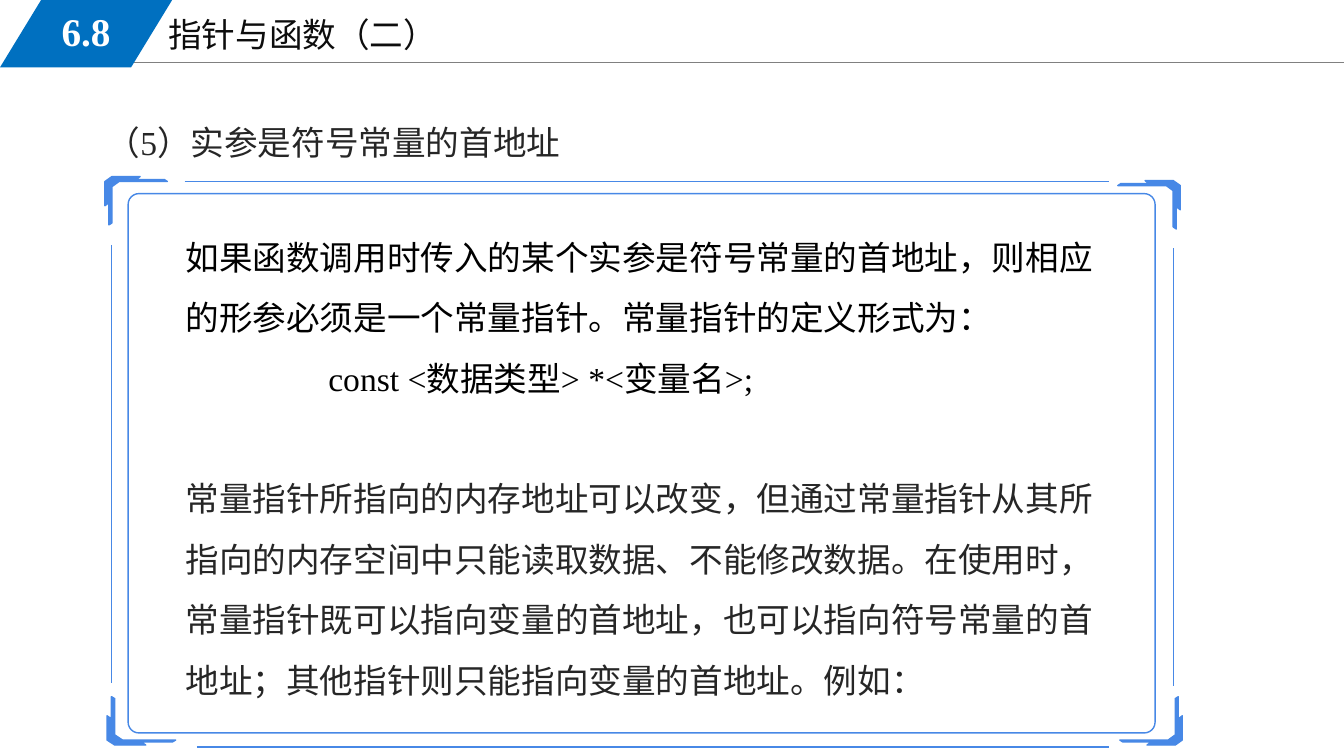
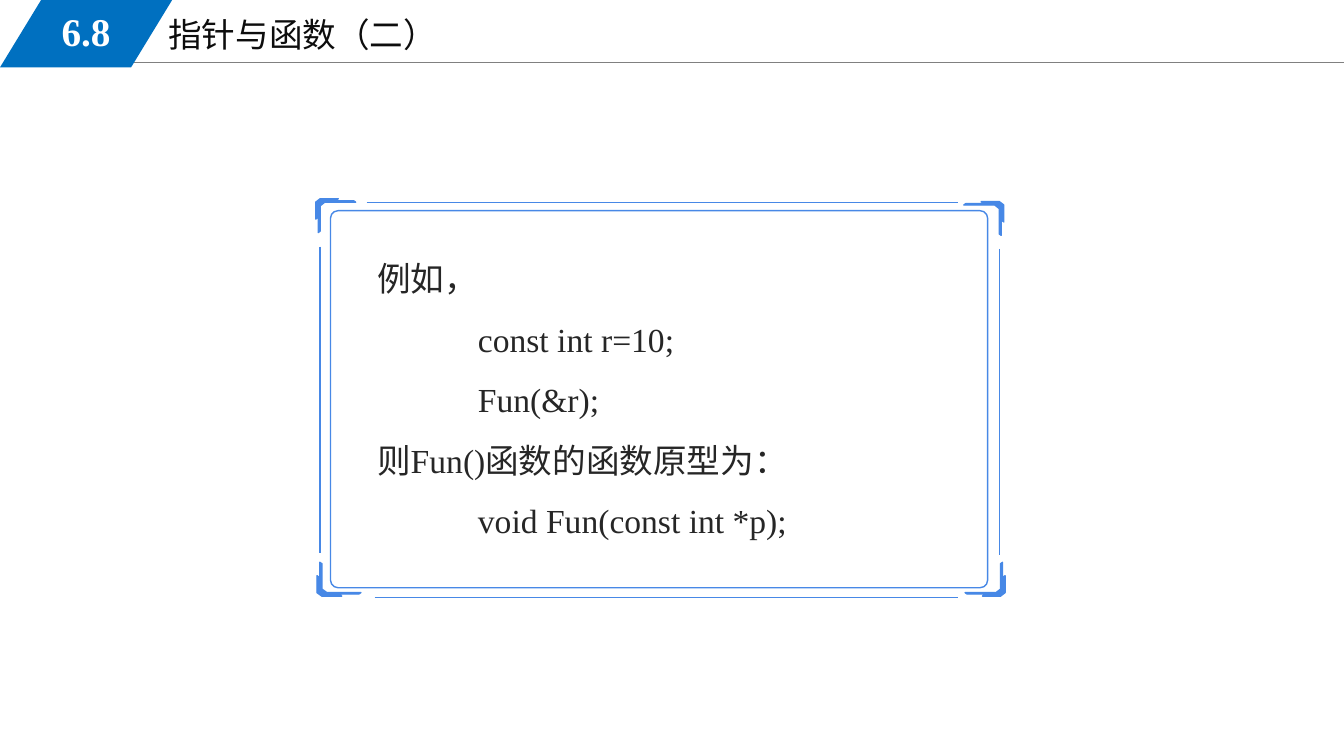
from dataclasses import dataclass

from lxml.etree import SubElement
from pptx import Presentation
from pptx.dml.color import RGBColor
from pptx.enum.lang import MSO_LANGUAGE_ID
from pptx.enum.shapes import MSO_CONNECTOR, MSO_SHAPE
from pptx.enum.text import MSO_ANCHOR, MSO_AUTO_SIZE, PP_ALIGN
from pptx.oxml.ns import qn
from pptx.util import Cm, Pt


@dataclass(frozen=True)
class Theme:
    font: str = "Times New Roman"
    badge_blue: RGBColor = RGBColor(0x00, 0x70, 0xC0)
    frame_blue: RGBColor = RGBColor(0x47, 0x88, 0xE6)
    rule_grey: RGBColor = RGBColor(0x80, 0x80, 0x80)
    title_ink: RGBColor = RGBColor(0x0D, 0x0D, 0x0D)
    ink: RGBColor = RGBColor(0x26, 0x26, 0x26)
    black: RGBColor = RGBColor(0x00, 0x00, 0x00)
    white: RGBColor = RGBColor(0xFF, 0xFF, 0xFF)
    text_size: Pt = Pt(24)
    badge_size: Pt = Pt(28)
    rule_width: Pt = Pt(0.75)
    frame_width: Pt = Pt(1)


THEME = Theme()

# Frame geometry, in percent of the rounded panel's width and height
CORNER_OUTLINE = [
    (0.69, 0), (3.43, 0), (3.04, 0.56), (5.79, 0.56), (6.08, 0.93), (1.37, 0.93),
    (0.69, 1.87), (0.69, 8.6), (0.39, 8.97), (0.39, 4.86), (0, 5.42), (0, 0.93),
]
# Outer point, horizontal direction (with stretch), vertical direction
CORNERS = [
    (-2.26, -3.18, 1, 1),
    (102.45, -2.43, -1, 1),
    (102.65, 102.24, -1, -1),
    (-2.06, 102.24, 1.1, -1),
]
EDGES = [
    ((5.5, -2.2), (95.5, -2.2)),
    ((6.7, 102.6), (95.5, 102.6)),
    ((-1.6, 9.5), (-1.6, 90.7)),
    ((101.8, 10.1), (101.8, 91.2)),
]


def set_values(target, values):
    for name, value in values.items():
        setattr(target, name, value)


def place(item, left, top, width, height):
    set_values(item, {"left": Cm(left), "top": Cm(top),
                      "width": Cm(width), "height": Cm(height)})


def set_frame(text_frame, **changes):
    set_values(text_frame, {"word_wrap": True, "auto_size": MSO_AUTO_SIZE.NONE,
                            "vertical_anchor": MSO_ANCHOR.TOP} | changes)


def write(paragraph, text, color, **changes):
    run = paragraph.add_run()
    run.text = text
    set_values(run.font, {"name": THEME.font, "size": THEME.text_size,
                          "language_id": MSO_LANGUAGE_ID.SIMPLIFIED_CHINESE} | changes)
    run.font.color.rgb = color


def add_rule(shapes, start, end, color, width):
    rule = shapes.add_connector(MSO_CONNECTOR.STRAIGHT, *start, *end)
    rule.line.color.rgb = color
    rule.line.width = width
    SubElement(rule.element.spPr, qn("a:effectLst"))
    return rule


def outline_blue(shape):
    shape.shadow.inherit = False
    shape.line.color.rgb = THEME.frame_blue
    shape.line.width = THEME.frame_width


def add_panel_frame(slide, left, top, width, height):
    def point(x, y):
        return Cm(left + width * x / 100), Cm(top + height * y / 100)

    shapes = slide.shapes.add_group_shape().shapes

    # Rounded panel
    panel = shapes.add_shape(MSO_SHAPE.ROUNDED_RECTANGLE,
                             Cm(left), Cm(top), Cm(width), Cm(height))
    panel.adjustments[0] = 0.02
    panel.fill.background()
    outline_blue(panel)

    # Corner brackets
    for x, y, across, down in CORNERS:
        points = [point(x + across * dx, y + down * dy) for dx, dy in CORNER_OUTLINE]
        builder = shapes.build_freeform(*points[0])
        builder.add_line_segments(points[1:], close=True)
        bracket = builder.convert_to_shape()
        bracket.fill.solid()
        bracket.fill.fore_color.rgb = THEME.frame_blue
        outline_blue(bracket)

    # Edge lines
    for start, end in EDGES:
        add_rule(shapes, point(*start), point(*end), THEME.frame_blue, THEME.frame_width)


def prepare_layout(layout):
    for placeholder in list(layout.placeholders):
        if placeholder.placeholder_format.idx >= 10:
            placeholder.element.getparent().remove(placeholder.element)
    place(layout.placeholders[0], 3.96, 0.23, 14.4, 1.3)


def add_header_band(slide):
    """Build the shared band and hand it to the slide's layout."""
    rule = add_rule(slide.shapes, (Cm(2.87), Cm(1.57)), (Cm(33.87), Cm(1.57)),
                    THEME.rule_grey, THEME.rule_width)
    badge = slide.shapes.add_shape(MSO_SHAPE.PARALLELOGRAM, 0, 0, Cm(4.34), Cm(1.7))
    badge.adjustments[0] = 0.61
    badge.shadow.inherit = False
    badge.fill.solid()
    badge.fill.fore_color.rgb = THEME.badge_blue
    badge.line.fill.background()
    set_frame(badge.text_frame, word_wrap=False, vertical_anchor=MSO_ANCHOR.MIDDLE,
              margin_left=0, margin_right=0, margin_top=0, margin_bottom=Cm(0.13))
    number = badge.text_frame.paragraphs[0]
    number.alignment = PP_ALIGN.CENTER
    write(number, "6.8", THEME.white, size=THEME.badge_size, bold=True)
    for part in (rule, badge):
        slide.slide_layout.shapes.element.append(part.element)


def add_titled_slide(deck, layout, title):
    slide = deck.slides.add_slide(layout)
    heading = slide.shapes.title.text_frame
    set_frame(heading, margin_left=Cm(0.28), margin_right=Cm(0.28))
    heading.paragraphs[0].alignment = PP_ALIGN.LEFT
    write(heading.paragraphs[0], title, THEME.title_ink)
    return slide


def fill_body(slide, box, lines):
    """Each line is text, colour, indent in cm and space before in points."""
    body = slide.placeholders[1]
    place(body, *box)
    set_frame(body.text_frame)
    for index, (text, color, indent, gap) in enumerate(lines):
        paragraph = (body.text_frame.add_paragraph() if index
                     else body.text_frame.paragraphs[0])
        properties = paragraph._p.get_or_add_pPr()
        properties.set("marL", str(Cm(indent)))
        properties.set("indent", "0")
        SubElement(properties, qn("a:buNone"))
        set_values(paragraph, {"line_spacing": 1.5, "space_before": Pt(gap),
                               "alignment": PP_ALIGN.LEFT})
        write(paragraph, text, color)


def add_subheading(slide, text):
    subheading = slide.shapes.add_textbox(Cm(2.44), Cm(2.44), Cm(15.14), Cm(1.63))
    set_frame(subheading.text_frame)
    paragraph = subheading.text_frame.paragraphs[0]
    paragraph.line_spacing = 1.5
    write(paragraph, text, THEME.ink)


def main():
    deck = Presentation()
    deck.slide_width, deck.slide_height = Cm(33.87), Cm(19.05)
    layout = deck.slide_layouts[1]
    prepare_layout(layout)
    title = "指针与函数（二）"

    # Constant pointers: definition
    definition = add_titled_slide(deck, layout, title)
    add_header_band(definition)
    add_subheading(definition, "（5）实参是符号常量的首地址")
    fill_body(definition, (4.42, 5.33, 24.03, 13.4), [
        ("如果函数调用时传入的某个实参是符号常量的首地址，则相应的形参必须是一个常量指针。"
         "常量指针的定义形式为：", THEME.black, 0, 0),
        ("const <数据类型> *<变量名>;", THEME.black, 3.6, 0),
        ("常量指针所指向的内存地址可以改变，但通过常量指针从其所指向的内存空间中只能读取数据、"
         "不能修改数据。在使用时，常量指针既可以指向变量的首地址，也可以指向符号常量的首地址；"
         "其他指针则只能指向变量的首地址。例如：", THEME.ink, 0, 43),
    ])
    add_panel_frame(definition, 3.23, 4.88, 25.88, 13.59)

    # Constant pointers: example
    example = add_titled_slide(deck, layout, title)
    fill_body(example, (9.25, 5.87, 15.5, 7.95), [
        ("例如，", THEME.ink, 0, 0),
        ("const int r=10;", THEME.ink, 2.54, 0),
        ("Fun(&r);", THEME.ink, 2.54, 0),
        ("则Fun()函数的函数原型为：", THEME.ink, 0, 0),
        ("void Fun(const int *p);", THEME.ink, 2.54, 0),
    ])
    add_panel_frame(example, 8.33, 5.31, 16.56, 9.5)

    deck.save("out.pptx")


if __name__ == "__main__":
    main()
